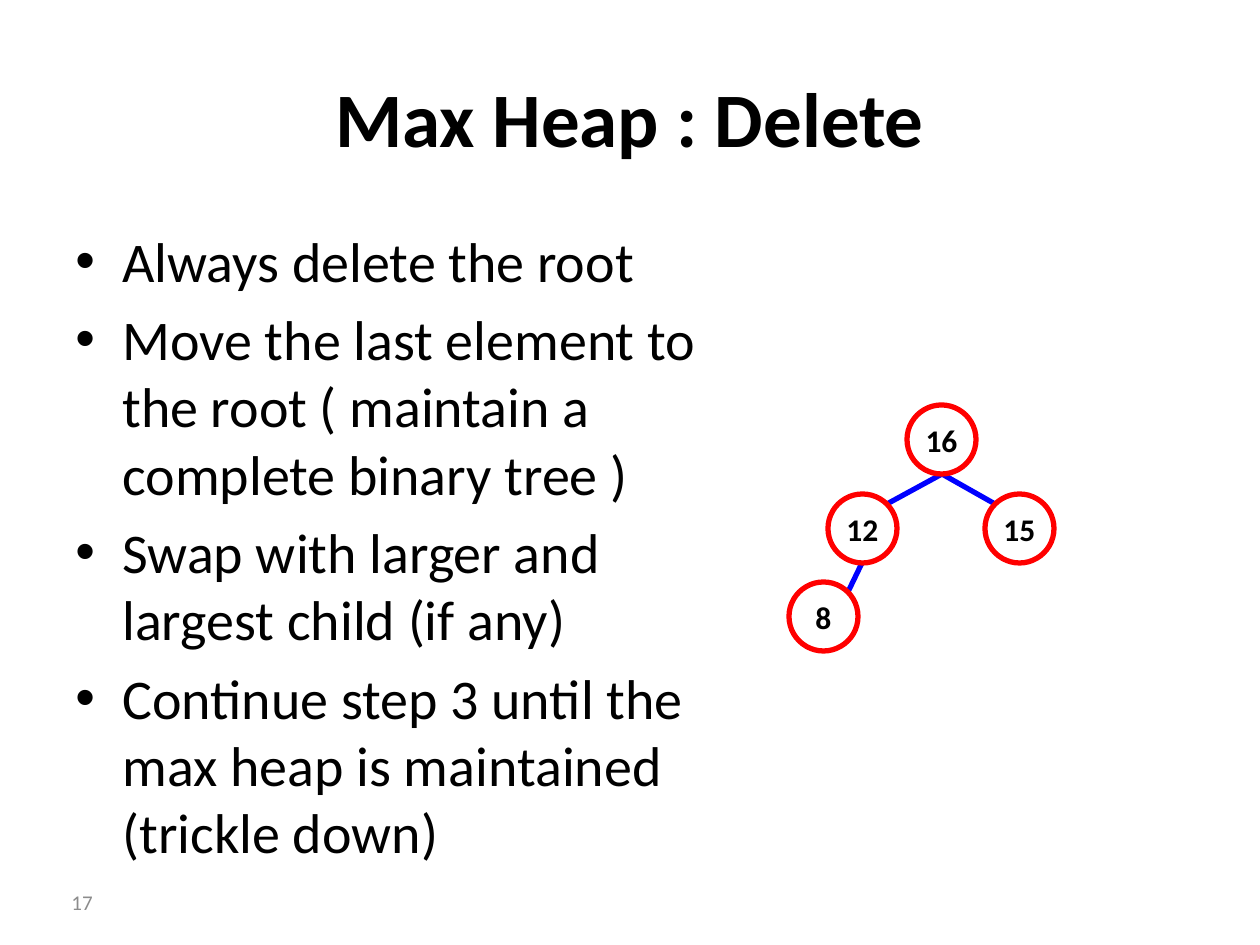
"""Build the Max Heap : Delete slide."""
from lxml.etree import SubElement
from pptx import Presentation
from pptx.dml.color import RGBColor as Rgb
from pptx.enum.shapes import MSO_CONNECTOR as Line, MSO_SHAPE as Shape
from pptx.enum.text import MSO_ANCHOR as Anchor, PP_ALIGN as Align
from pptx.oxml.ns import qn
from pptx.util import Pt

PX = 914400 // 126
INK = {"text": "000000", "edge": "0000FF", "ring": "FF0000", "page": "8C8C8C"}


def write(shape, lines, ink="text", size=18, bold=False, align=Align.CENTER,
          anchor=Anchor.MIDDLE):
    frame = shape.text_frame
    frame.word_wrap = True
    frame.vertical_anchor = anchor
    frame.text = "\n".join(lines)
    for para in frame.paragraphs:
        para.alignment = align
        look = {"name": "Calibri", "size": Pt(size), "bold": bold}
        for key, val in look.items():
            setattr(para.runs[0].font, key, val)
        para.runs[0].font.color.rgb = Rgb.from_string(INK[ink])
    return frame


def stroke(item, ink):
    item.line.color.rgb = Rgb.from_string(INK[ink])
    item.line.width = Pt(3)


deck = Presentation()
deck.slide_width, deck.slide_height = 1260 * PX, 945 * PX
slide = deck.slides.add_slide(deck.slide_layouts[6])
shapes = slide.shapes

title = shapes.add_textbox(63 * PX, 38 * PX, 1134 * PX, 157 * PX)
write(title, ["Max Heap : Delete"], size=44, bold=True)

steps = [
    "Always delete the root",
    "Move the last element to the root ( maintain a complete binary tree )",
    "Swap with larger and largest child (if any)",
    "Continue step 3 until the max heap is maintained (trickle down)",
]
body = shapes.add_textbox(63 * PX, 220 * PX, 696 * PX, 649 * PX)
frame = write(body, steps, size=32, align=Align.LEFT, anchor=Anchor.TOP)
for para in frame.paragraphs:
    para.space_before = Pt(6.4)
    props = para._p.get_or_add_pPr()
    props.set("marL", str(47 * PX))
    props.set("indent", str(-47 * PX))
    SubElement(props, qn("a:buFont")).set("typeface", "Arial")
    SubElement(props, qn("a:buChar")).set("char", "•")

SIZE = 69
nodes = {"16": (907, 405), "12": (828, 494), "15": (985, 494), "8": (789, 582)}
edges = [("16", "12", 1), ("16", "15", -1), ("12", "8", 1)]
half = SIZE / 2
slant = half * 0.71

for top, low, side in edges:
    (x1, y1), (x2, y2) = nodes[top], nodes[low]
    ends = (x1 + half, y1 + SIZE, x2 + half + side * slant, y2 + half - slant)
    edge = shapes.add_connector(Line.STRAIGHT, *(round(v) * PX for v in ends))
    stroke(edge, "edge")
    SubElement(edge._element.spPr, qn("a:effectLst"))

for label, (x, y) in nodes.items():
    node = shapes.add_shape(Shape.OVAL, x * PX, y * PX, SIZE * PX, SIZE * PX)
    node.shadow.inherit = False
    node.fill.background()
    stroke(node, "ring")
    frame = write(node, [label], bold=True)
    for side in ("left", "right", "top", "bottom"):
        setattr(frame, "margin_" + side, 0)

page = shapes.add_textbox(0, 877 * PX, 105 * PX, 50 * PX)
write(page, ["17"], ink="page", size=12, align=Align.RIGHT)

deck.save("out.pptx")
